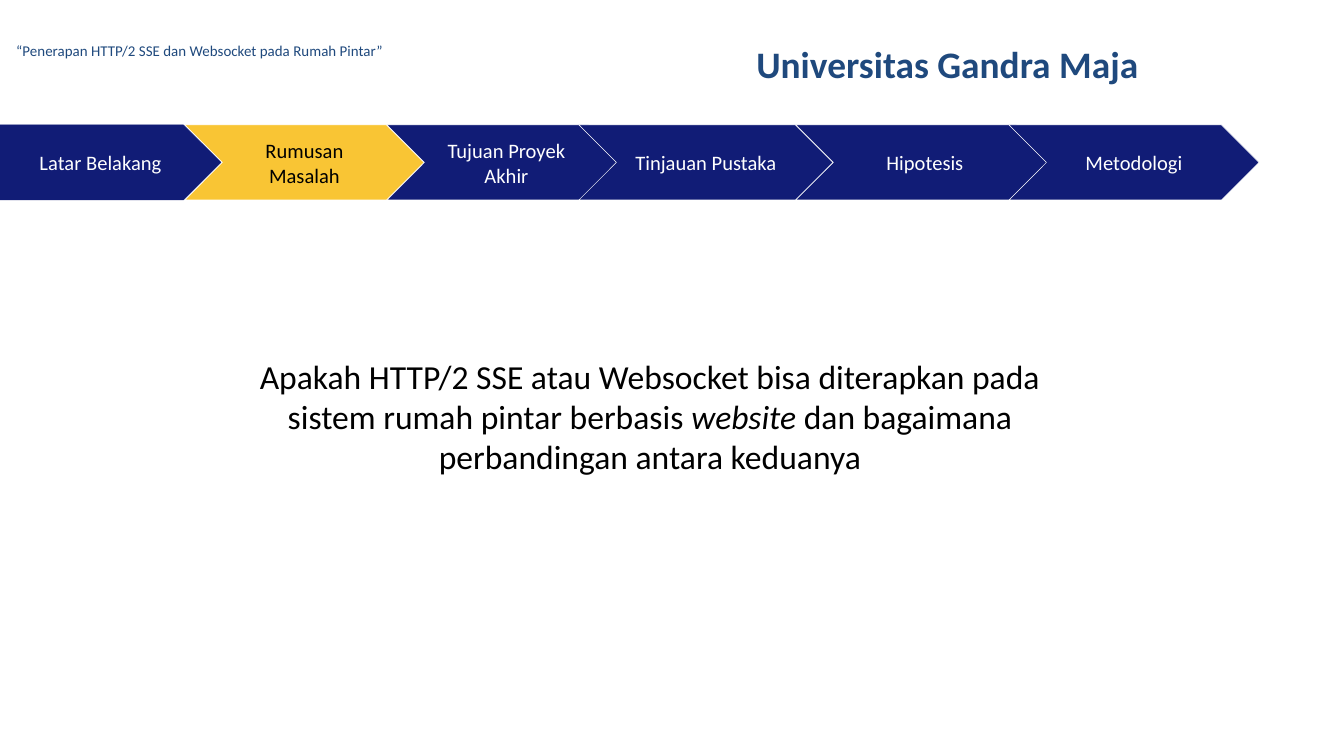
"""Build the problem statement slide with its chapter progress bar."""
import pptx
import pptx.util
import pptx.dml.color
import pptx.enum.shapes
import pptx.enum.text

SCALE = 914400 / 134.4
HUES = {"navy": "111C76", "gold": "F9C534", "blue": "1F497D", "black": "000000", "white": "FFFFFF"}
FONT = "Calibri"
SHAPE = pptx.enum.shapes.MSO_SHAPE
ALIGN = pptx.enum.text.PP_ALIGN
ANCHOR = pptx.enum.text.MSO_ANCHOR


def px(*sizes):
    """Turn px lengths into EMU."""
    return [pptx.util.Emu(round(size * SCALE)) for size in sizes]


def hue(name):
    """Look up a colour by name."""
    return pptx.dml.color.RGBColor.from_string(HUES[name])


def write(frame, text, size=11, color="black", bold=False, align=ALIGN.CENTER,
          anchor=ANCHOR.TOP, space=None):
    """Fill a text frame, with the parts between asterisks in italics."""
    frame.word_wrap = True
    frame.auto_size = pptx.enum.text.MSO_AUTO_SIZE.NONE
    frame.vertical_anchor = anchor
    para = frame.paragraphs[0]
    para.alignment = align
    para.line_spacing = space
    for index, part in enumerate(text.split("*")):
        run = para.add_run()
        run.text = part
        font = run.font
        font.name = FONT
        font.size = pptx.util.Pt(size)
        font.bold = bold
        font.italic = index % 2 == 1
        font.color.rgb = hue(color)


class Deck:
    """Hold the presentation, its style and the current slide."""

    def __init__(self, wide, high):
        """Start a deck with one title-only slide."""
        self.show = pptx.Presentation()
        self.show.slide_width, self.show.slide_height = px(wide, high)
        self.slide = self.show.slides.add_slide(self.show.slide_layouts[5])

    def title(self, text, box, **style):
        """Place and fill the title."""
        head = self.slide.shapes.title
        head.left, head.top, head.width, head.height = px(*box)
        write(head.text_frame, text, **style)

    def label(self, text, box, **style):
        """Add a text box."""
        write(self.slide.shapes.add_textbox(*px(*box)).text_frame, text, **style)

    def step(self, text, box, kind=SHAPE.CHEVRON, fill="navy", line="white", color="white"):
        """Add one arrow of the progress bar."""
        shape = self.slide.shapes.add_shape(kind, *px(*box))
        shape.shadow.inherit = False
        shape.adjustments[0] = 0.5
        shape.fill.solid()
        shape.fill.fore_color.rgb = hue(fill)
        shape.line.color.rgb = hue(line)
        shape.line.width = pptx.util.Pt(0.25)
        write(shape.text_frame, text, color=color, anchor=ANCHOR.MIDDLE)


def main():
    """Build and save the slide."""
    deck = Deck(1344, 756)
    deck.title("Universitas Gandra Maja", (684, 34, 527, 102), size=20, color="blue", bold=True)
    deck.label("“Penerapan HTTP/2 SSE dan Websocket pada Rumah Pintar”", (3, 26, 509, 58),
               size=8, color="blue", align=ALIGN.LEFT, space=1.5)
    deck.label("Apakah HTTP/2 SSE atau Websocket bisa diterapkan pada sistem rumah pintar "
               "berbasis *website *dan bagaimana perbandingan antara keduanya",
               (216, 349, 868, 175), size=18)
    top, high = 125, 75
    deck.step("Rumusan Masalah", (185, top, 239, high), fill="gold", color="black")
    for text, left, wide in (
        ("Tujuan Proyek Akhir", 387, 239),
        ("Tinjauan Pustaka", 579, 254),
        ("Hipotesis", 796, 258),
        ("Metodologi", 1009, 250),
    ):
        deck.step(text, (left, top, wide, high))
    deck.step("Latar Belakang", (-1, top, 222, high), kind=SHAPE.PENTAGON, line="navy")
    deck.show.save("out.pptx")


if __name__ == "__main__":
    main()
